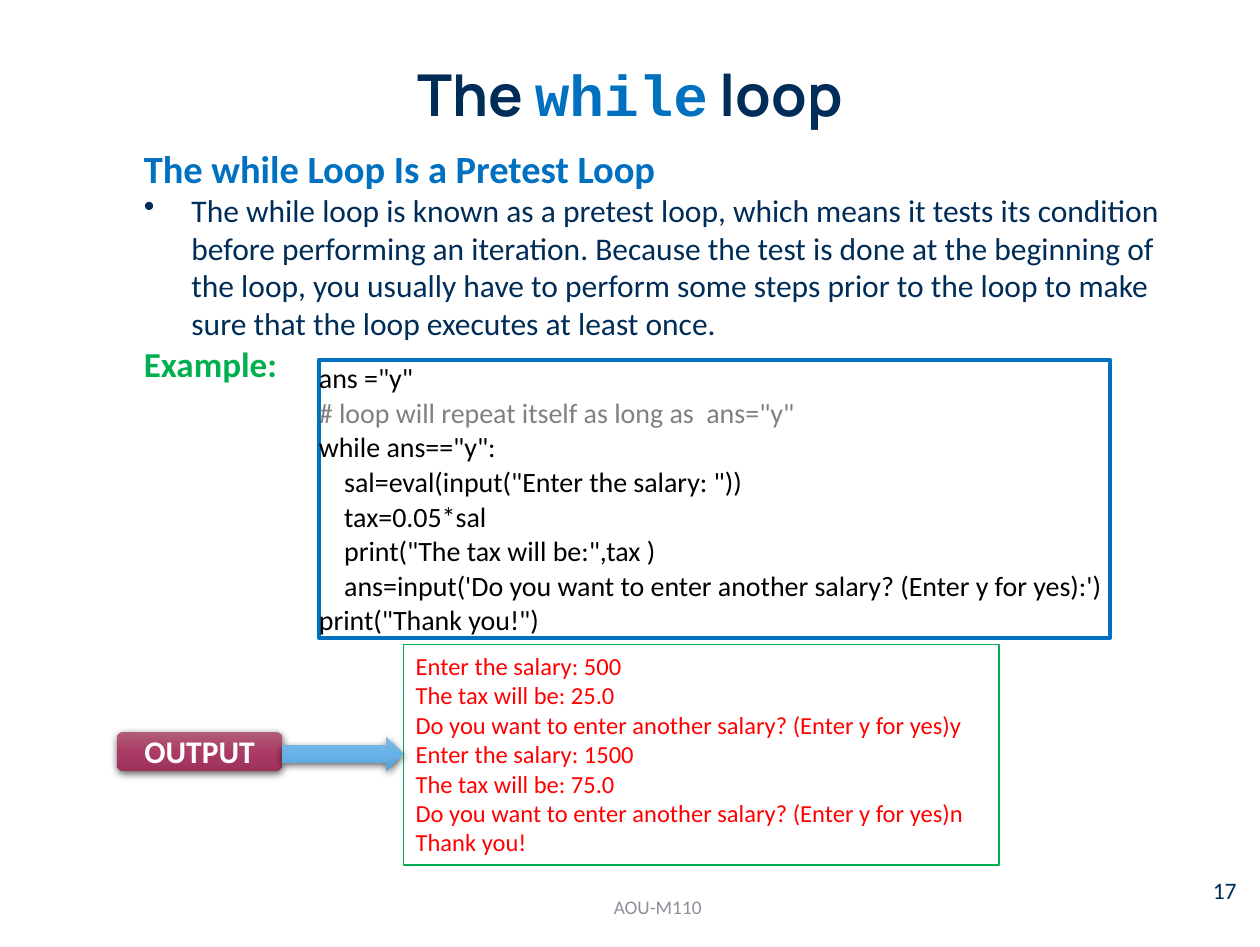
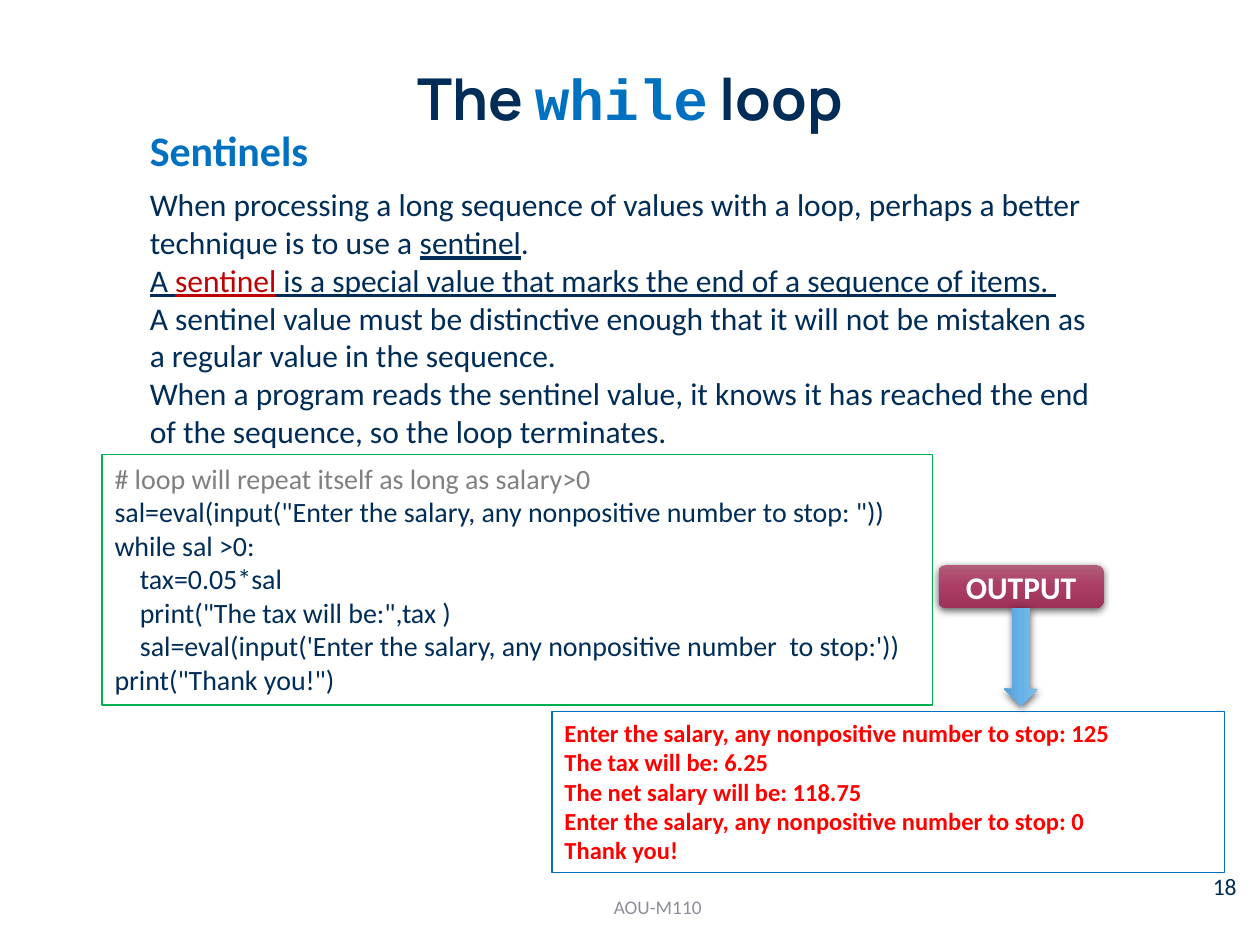
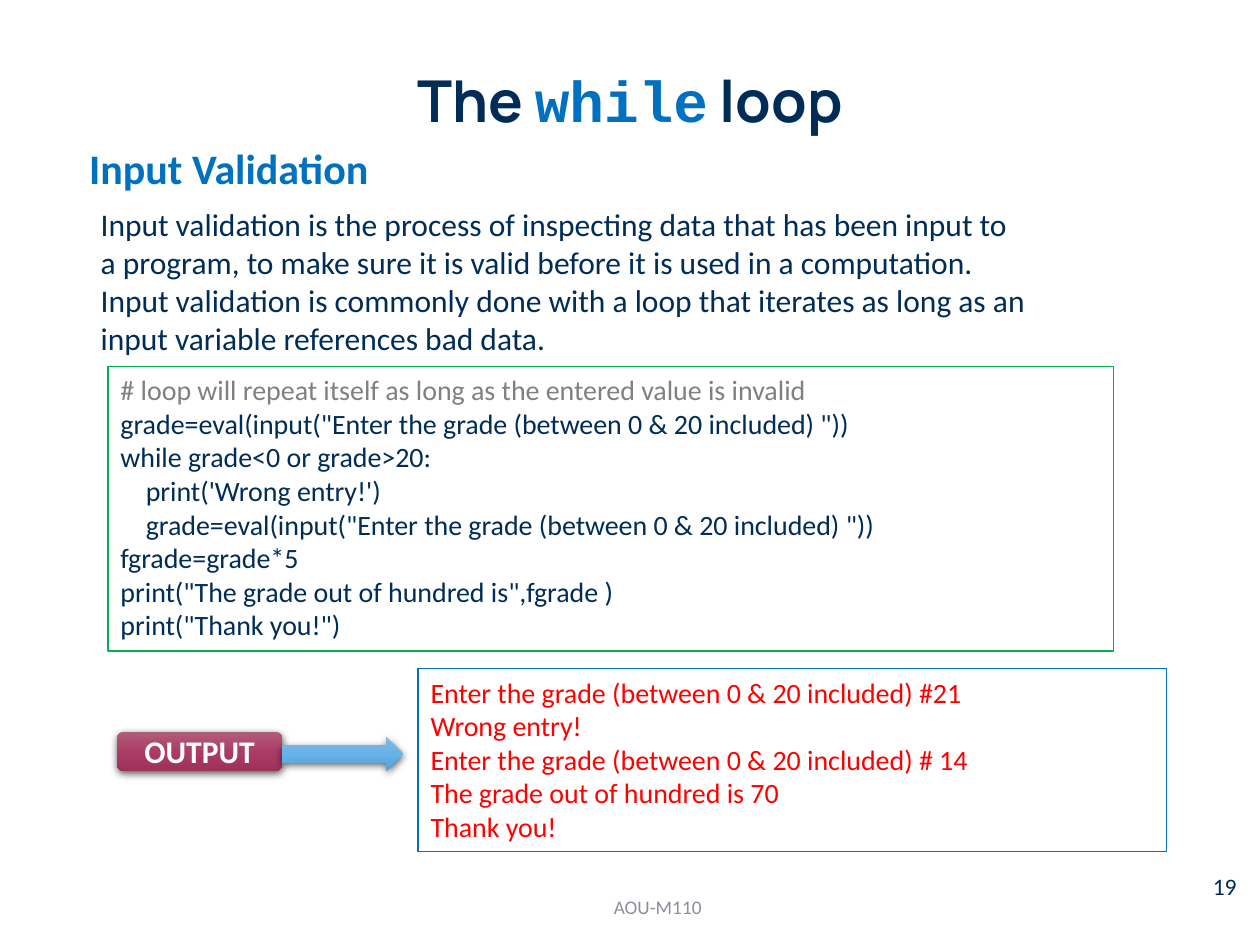
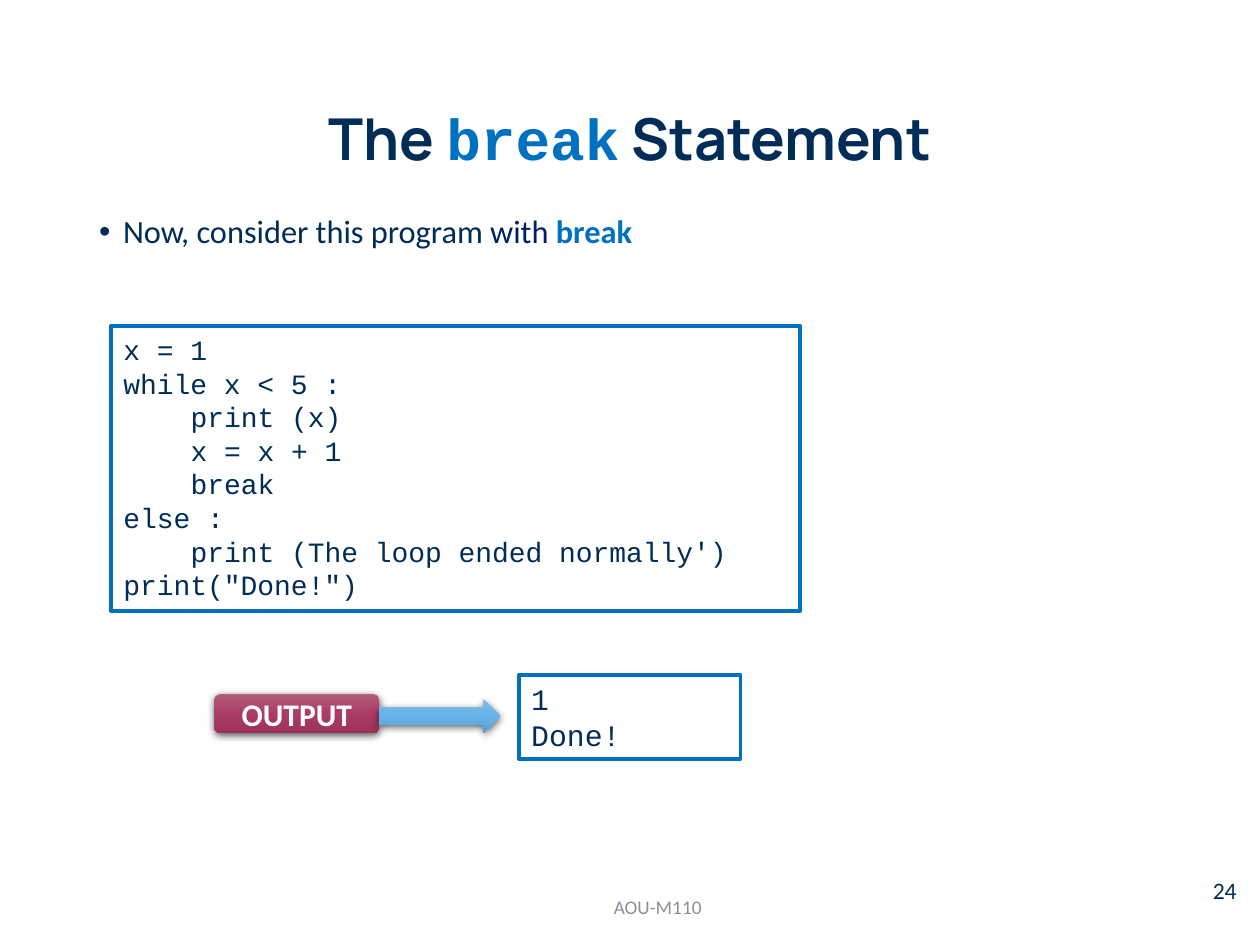
from copy import deepcopy

from lxml import etree
from pptx import Presentation
from pptx.dml.color import RGBColor
from pptx.enum.shapes import MSO_SHAPE
from pptx.enum.text import MSO_ANCHOR, MSO_AUTO_SIZE, PP_ALIGN
from pptx.oxml.ns import qn
from pptx.util import Cm, Pt

RECTANGLE = MSO_SHAPE.RECTANGLE
ROUNDED = MSO_SHAPE.ROUNDED_RECTANGLE
RIGHT_ARROW = MSO_SHAPE.RIGHT_ARROW
TOP, MIDDLE = MSO_ANCHOR.TOP, MSO_ANCHOR.MIDDLE
LEFT, CENTER = PP_ALIGN.LEFT, PP_ALIGN.CENTER
NO_AUTOFIT = MSO_AUTO_SIZE.NONE

COLORS = {
    "navy": "002D58", "dark_blue": "002060", "blue": "0070C0",
    "green": "00B050", "red": "FF0000", "dark_red": "C00000",
    "gray": "808080", "footer": "8C8F9A", "black": "000000", "white": "FFFFFF",
}
BADGE_GRADIENT = ("B15E79", "AB3C66", "9C3159")
ARROW_GRADIENT = ("80BAE6", "67B2E8", "559FD5")
BODY_FONT, CODE_FONT, TITLE_FONT = "Calibri", "Courier New", "Manrope"

CODE_INDENT = "    "
SPACE_WIDTH = {BODY_FONT: 0.226, CODE_FONT: 0.6}  # in ems

TITLE_ONLY, TITLE_AND_BODY = 5, 1
BADGE_WIDTH, ARROW_THICKNESS = 3.33, 0.69


def box(left, top, width, height):
    return Cm(left), Cm(top), Cm(width), Cm(height)


def move(shape, place):
    shape.left, shape.top, shape.width, shape.height = place


def style_font(font, size=None, color=None, name=None, bold=None, underline=None):
    if size:
        font.size = Pt(size)
    if color:
        font.color.rgb = RGBColor.from_string(COLORS[color])
    if name:
        font.name = name
    if bold is not None:
        font.bold = bold
    if underline is not None:
        font.underline = underline


def set_indent(paragraph, margin, first_line=0):
    properties = paragraph._p.get_or_add_pPr()
    properties.set("marL", str(int(margin)))
    properties.set("indent", str(int(first_line)))


def set_bullet(paragraph, hanging):
    set_indent(paragraph, hanging, -hanging)
    bullet = etree.Element(qn("a:buChar"), char="•")
    paragraph._p.get_or_add_pPr().insert_element_before(
        bullet, "a:tabLst", "a:defRPr", "a:extLst")


def add_paragraph(frame, content, align=LEFT, spacing=None, **style):
    """Write a string, or a list of (text, style changes) runs, as the next paragraph."""
    paragraph = frame.paragraphs[0]
    if paragraph.runs:
        paragraph = frame.add_paragraph()
    paragraph.alignment = align
    if spacing:
        paragraph.line_spacing = spacing
    style_font(paragraph.font, **style)
    runs = [(content, {})] if isinstance(content, str) else content
    for text, changes in runs:
        run = paragraph.add_run()
        run.text = text
        style_font(run.font, **changes)
    return paragraph


def prepare_frame(shape, anchor=TOP, margins=(0.25, 0.13)):
    frame = shape.text_frame
    frame.word_wrap = True
    frame.auto_size = NO_AUTOFIT
    frame.vertical_anchor = anchor
    frame.margin_left = frame.margin_right = Cm(margins[0])
    frame.margin_top = frame.margin_bottom = Cm(margins[1])
    return frame


def add_text(slide, place, paragraphs, anchor=TOP, **style):
    frame = prepare_frame(slide.shapes.add_textbox(*place), anchor)
    for content in paragraphs:
        add_paragraph(frame, content, **style)


def add_listing(slide, place, text, border, border_width=0.75, margins=(0.25, 0.13),
                size=16, color="navy", name=BODY_FONT, spacing=None, bold=False):
    """Draw a bordered box of code or output lines; comment lines turn gray."""
    shape = slide.shapes.add_shape(RECTANGLE, *place)
    shape.shadow.inherit = False
    shape.fill.background()
    shape.line.color.rgb = RGBColor.from_string(COLORS[border])
    shape.line.width = Pt(border_width)
    frame = prepare_frame(shape, margins=margins)
    for line in text.strip().splitlines():
        paragraph = add_paragraph(
            frame, line.strip(), spacing=spacing, size=size, name=name, bold=bold,
            color="gray" if line.startswith("#") else color)
        if line.startswith(CODE_INDENT):
            set_indent(paragraph, Pt(len(CODE_INDENT) * SPACE_WIDTH[name] * size))


def add_glossy_shape(slide, kind, place, gradient):
    shape = slide.shapes.add_shape(kind, *place)
    shape.line.fill.background()
    shape.fill.gradient()
    shape.fill.gradient_angle = 270
    stops = shape._element.spPr.find(qn("a:gradFill")).find(qn("a:gsLst"))
    stops.insert(1, deepcopy(stops[0]))
    stops[1].set("pos", "50000")
    for stop, color in zip(shape.fill.gradient_stops, gradient):
        stop.color.rgb = RGBColor.from_string(color)
    shape.shadow.inherit = False
    effects = shape._element.spPr.find(qn("a:effectLst"))
    shadow = etree.SubElement(
        effects, qn("a:outerShdw"), blurRad=str(Pt(4.5)), dist=str(Pt(1.5)),
        dir="5400000", algn="ctr", rotWithShape="0")
    shadow_color = etree.SubElement(shadow, qn("a:srgbClr"), val=COLORS["black"])
    etree.SubElement(shadow_color, qn("a:alpha"), val="63000")
    return shape


def add_output_badge(slide, left, top, height=0.79, arrow_length=2.44, downward=False):
    """Draw the OUTPUT badge with an arrow leaving its right side or its bottom."""
    badge = add_glossy_shape(slide, ROUNDED, box(left, top, BADGE_WIDTH, height),
                             BADGE_GRADIENT)
    frame = prepare_frame(badge, MIDDLE, margins=(0, 0))
    add_paragraph(frame, "OUTPUT", CENTER, size=18, color="white", name=BODY_FONT, bold=True)
    if downward:
        arrow_left = left + (BADGE_WIDTH - arrow_length) / 2
        arrow_top = top + height + (arrow_length - ARROW_THICKNESS) / 2
    else:
        arrow_left = left + BADGE_WIDTH
        arrow_top = top + 0.1
    arrow = add_glossy_shape(
        slide, RIGHT_ARROW, box(arrow_left, arrow_top, arrow_length, ARROW_THICKNESS),
        ARROW_GRADIENT)
    arrow.rotation = 90 if downward else 0


def add_slide(presentation, keyword, noun, title_height, number,
              layout=TITLE_ONLY, number_anchor=TOP):
    """Add a slide with its title, footer and number."""
    slide = presentation.slides.add_slide(presentation.slide_layouts[layout])
    title = slide.shapes.title
    move(title, box(1.75, 1.02, 21.9, title_height))
    add_paragraph(
        prepare_frame(title, MIDDLE),
        [("The ", {}), (keyword, {"name": CODE_FONT, "color": "blue"}), (f" {noun}", {})],
        CENTER, 0.9, size=33, color="navy", name=TITLE_FONT, bold=True)
    add_text(slide, box(6.02, 17.78, 14.48, 1.02), ["AOU-M110"], MIDDLE,
             align=CENTER, size=11, color="footer", name=BODY_FONT)
    add_text(slide, box(24.2, 17.45, 1.2, 1.02), [str(number)], number_anchor,
             size=13.5, color="navy", name=BODY_FONT)
    return slide


def add_section(slide, heading_place, heading, text_place, paragraphs):
    add_text(slide, heading_place, [heading], size=24, color="blue", name=BODY_FONT, bold=True)
    add_text(slide, text_place, paragraphs, size=18, color="navy", name=BODY_FONT)


def build_pretest_slide(presentation):
    slide = add_slide(presentation, "while", "loop", 1.91, 17, number_anchor=MIDDLE)
    text_box = slide.shapes.add_textbox(*box(2.9, 2.92, 21.06, 10.54))
    frame = prepare_frame(text_box, margins=(0, 0))
    add_paragraph(frame, "The while Loop Is a Pretest Loop",
                  size=22, color="blue", name=BODY_FONT, bold=True)
    explanation = add_paragraph(
        frame,
        "The while loop is known as a pretest loop, which means it tests its condition "
        "before performing an iteration. Because the test is done at the beginning of "
        "the loop, you usually have to perform some steps prior to the loop to make "
        "sure that the loop executes at least once.",
        size=18, color="navy", name=BODY_FONT)
    set_bullet(explanation, Cm(0.96))
    add_paragraph(frame, "Example:", size=20, color="green", name=BODY_FONT, bold=True)
    add_listing(slide, box(6.43, 7.26, 15.95, 5.61), """
ans ="y"
# loop will repeat itself as long as  ans="y"
while ans=="y":
    sal=eval(input("Enter the salary: "))
    tax=0.05*sal
    print("The tax will be:",tax )
    ans=input('Do you want to enter another salary? (Enter y for yes):')
print("Thank you!")
""", "blue", 2.25, margins=(0, 0), color="black", spacing=1.03)
    add_listing(slide, box(8.13, 13, 12.01, 4.45), """
Enter the salary: 500
The tax will be: 25.0
Do you want to enter another salary? (Enter y for yes)y
Enter the salary: 1500
The tax will be: 75.0
Do you want to enter another salary? (Enter y for yes)n
Thank you!
""", "green", size=14, color="red")
    add_output_badge(slide, 2.36, 14.76)


def build_sentinel_slide(presentation):
    slide = add_slide(presentation, "while", "loop", 2.06, 18)
    underlined = {"underline": True}
    add_section(
        slide, box(2.77, 2.39, 4.32, 1.27), "Sentinels", box(2.77, 3.61, 19.81, 5.64),
        [
            [("When processing a long sequence of values with a loop, perhaps a better "
              "technique is to use a ", {}), ("sentinel", underlined), (".", {})],
            [("A ", underlined), ("sentinel", {"underline": True, "color": "dark_red"}),
             (" is a special value that marks the end of a sequence of items. ", underlined)],
            "A sentinel value must be distinctive enough that it will not be mistaken as "
            "a regular value in the sequence.",
            "When a program reads the sentinel value, it knows it has reached the end "
            "of the sequence, so the loop terminates.",
        ])
    add_listing(slide, box(2.06, 9.17, 16.74, 5.05), """
# loop will repeat itself as long as salary>0
sal=eval(input("Enter the salary, any nonpositive number to stop: "))
while sal >0:
    tax=0.05*sal
    print("The tax will be:",tax )
    sal=eval(input('Enter the salary, any nonpositive number  to stop:'))
print("Thank you!")
""", "green")
    add_listing(slide, box(11.13, 14.35, 13.56, 3.25), """
Enter the salary, any nonpositive number to stop: 125
The tax will be: 6.25
The net salary will be: 118.75
Enter the salary, any nonpositive number to stop: 0
Thank you!
""", "blue", size=14, color="red", bold=True)
    add_output_badge(slide, 18.92, 11.4, height=0.86, arrow_length=1.98, downward=True)


def build_validation_slide(presentation):
    slide = add_slide(presentation, "while", "loop", 2.16, 19)
    add_section(
        slide, box(1.55, 2.74, 6.76, 1.27), "Input Validation", box(1.78, 4.01, 19.81, 3.33),
        [
            "Input validation is the process of inspecting data that has been input to",
            "a program, to make sure it is valid before it is used in a computation.",
            "Input validation is commonly done with a loop that iterates as long as an",
            "input variable references bad data.",
        ])
    add_listing(slide, box(2.18, 7.39, 20.27, 5.74), """
# loop will repeat itself as long as the entered value is invalid
grade=eval(input("Enter the grade (between 0 & 20 included) "))
while grade<0 or grade>20:
    print('Wrong entry!')
    grade=eval(input("Enter the grade (between 0 & 20 included) "))
fgrade=grade*5
print("The grade out of hundred is",fgrade )
print("Thank you!")
""", "green")
    add_listing(slide, box(8.43, 13.49, 15.09, 3.68), """
Enter the grade (between 0 & 20 included) #21
Wrong entry!
Enter the grade (between 0 & 20 included) # 14
The grade out of hundred is 70
Thank you!
""", "blue", color="red")
    add_output_badge(slide, 2.36, 14.76)


def build_break_slide(presentation):
    slide = add_slide(presentation, "break", "Statement", 3.68, 24,
                      layout=TITLE_AND_BODY, number_anchor=MIDDLE)
    body = slide.placeholders[1]
    move(body, box(1.75, 4.22, 11.91, 1.17))
    introduction = add_paragraph(
        prepare_frame(body),
        [("Now, consider this program ", {}), ("with ", {"color": "dark_blue"}),
         ("break", {"color": "blue", "bold": True})],
        spacing=0.9, size=18.5, color="navy", name=BODY_FONT)
    introduction.space_before = Pt(7.5)
    set_bullet(introduction, Cm(0.48))
    add_listing(slide, box(2.24, 6.58, 13.89, 5.74), """
x = 1
while x < 5 :
    print (x)
    x = x + 1
    break
else :
    print (The loop ended normally')
print("Done!")
""", "blue", 2.25, name=CODE_FONT)
    add_listing(slide, box(10.46, 13.61, 4.47, 1.7), """
1
Done!
""", "blue", 2.25, size=17, name=CODE_FONT)
    add_output_badge(slide, 4.32, 14)


def main():
    presentation = Presentation()
    presentation.slide_width, presentation.slide_height = Cm(25.4), Cm(19.1)
    build_pretest_slide(presentation)
    build_sentinel_slide(presentation)
    build_validation_slide(presentation)
    build_break_slide(presentation)
    presentation.save("out.pptx")


if __name__ == "__main__":
    main()
